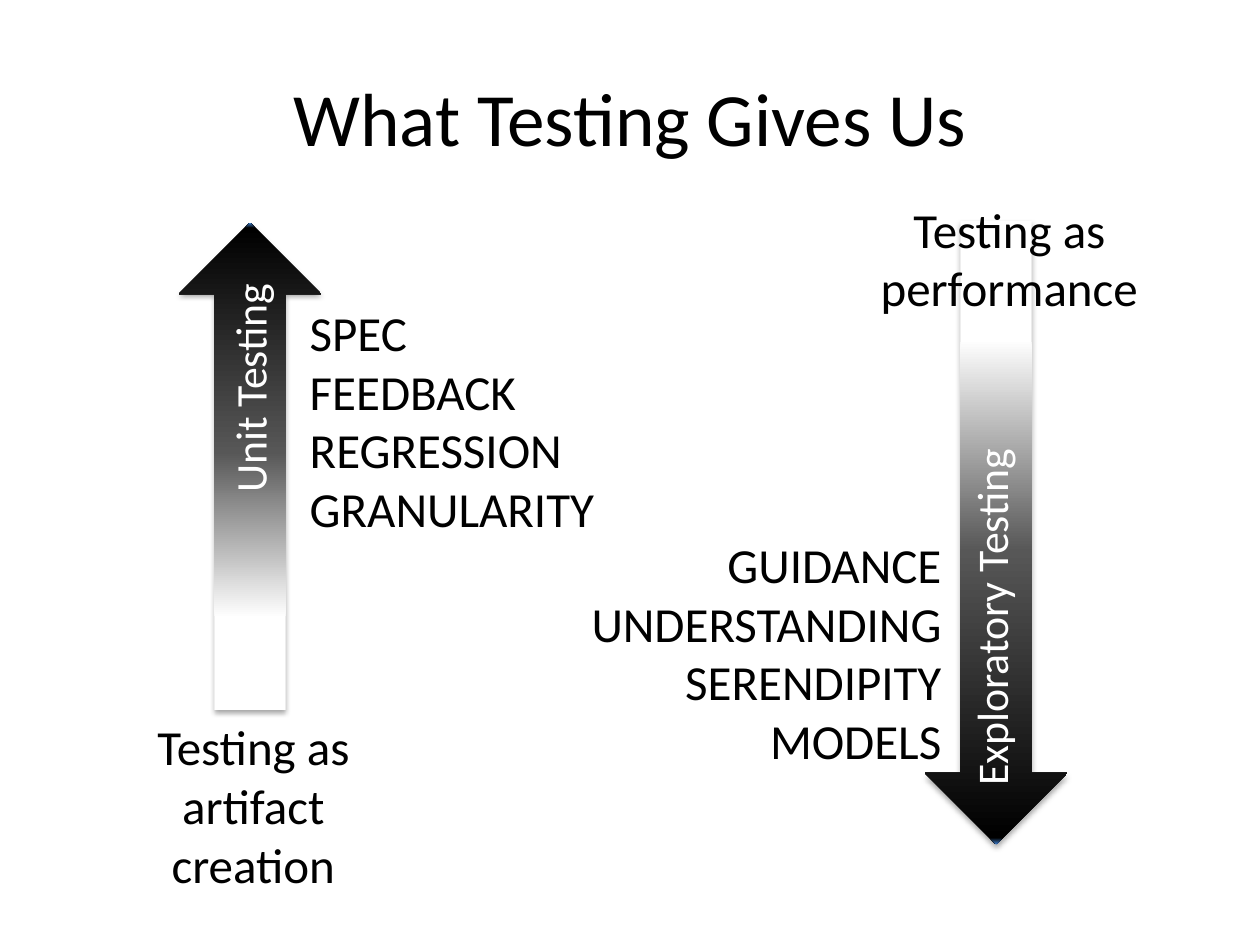
from dataclasses import dataclass
from lxml import etree
from pptx import Presentation
from pptx.dml.color import RGBColor
from pptx.enum import shapes, text
from pptx.oxml import ns
from pptx.util import Pt


@dataclass(frozen=True)
class Theme:
    font: str = "Calibri"
    dark: str = "000000"
    light: str = "FFFFFF"
    fade: tuple = ((19, "FFFFFF"), (53, "575757"), (99, "000000"), (100, "3D7CC7"))
    title: int = 43
    body: int = 28
    label: int = 25


THEME = Theme()
LEFT, MID, RIGHT = text.PP_ALIGN.LEFT, text.PP_ALIGN.CENTER, text.PP_ALIGN.RIGHT


def write(shape, lines, size=THEME.body, color=THEME.dark, align=LEFT,
          anchor=text.MSO_ANCHOR.TOP, wrap=True):
    frame = shape.text_frame
    frame.word_wrap = wrap
    frame.vertical_anchor = anchor
    frame.text = "\n".join(lines)
    for para in frame.paragraphs:
        para.alignment = align
        font = para.runs[0].font
        font.name = THEME.font
        font.size = Pt(size)
        font.color.rgb = RGBColor.from_string(color)


def place(shape, box):
    shape.left, shape.top, shape.width, shape.height = map(Pt, box)


def label(slide, box, lines, turn=0, **form):
    shape = slide.shapes.add_textbox(*map(Pt, box))
    shape.rotation = turn
    write(shape, lines, **form)
    shape.text_frame.auto_size = text.MSO_AUTO_SIZE.SHAPE_TO_FIT_TEXT


def add(node, tag, **attrs):
    return etree.SubElement(node, ns.qn(tag), {k: str(v) for k, v in attrs.items()})


def arrow(slide, box, turn=0):
    shape = slide.shapes.add_shape(shapes.MSO_SHAPE.UP_ARROW, *map(Pt, box))
    shape.rotation = turn
    shape.line.fill.background()
    shape.fill.gradient()
    shape.fill.gradient_angle = 90
    props = shape._element.spPr
    stops = props.find(".//" + ns.qn("a:gsLst"))
    for stop in list(stops):
        stops.remove(stop)
    for spot, color in THEME.fade:
        add(add(stops, "a:gs", pos=spot * 1000), "a:srgbClr", val=color)
    shape.shadow.inherit = False
    shade = add(props.find(ns.qn("a:effectLst")), "a:outerShdw", blurRad=Pt(3.1),
                dist=Pt(1.8), dir=90 * 60000, rotWithShape=0)
    add(add(shade, "a:srgbClr", val=THEME.dark), "a:alpha", val=35000)


def main():
    deck = Presentation()
    deck.slide_width, deck.slide_height = Pt(720), Pt(540)
    slide = deck.slides.add_slide(deck.slide_layouts[5])

    arrow(slide, (102.2, 127.4, 81.4, 278.6))
    arrow(slide, (528.5, 126, 81.4, 356.4), turn=180)

    title = slide.shapes.title
    place(title, (36, 21.6, 648, 90))
    write(title, ["What Testing Gives Us"], size=THEME.title, align=MID,
          anchor=text.MSO_ANCHOR.MIDDLE)
    slide.shapes._spTree.append(title._element)

    side = dict(turn=270, size=THEME.label, color=THEME.light, wrap=False)
    label(slide, (73.4, 200.9, 138.2, 37.4), ["Unit Testing"], **side)
    label(slide, (460.1, 331.2, 212.4, 37.4), ["Exploratory Testing"], **side)

    label(slide, (169.9, 169.2, 179.3, 143.3),
          ["SPEC", "FEEDBACK", "REGRESSION", "GRANULARITY"], wrap=False)
    label(slide, (249.8, 301.7, 295.2, 143.3),
          ["GUIDANCE", "UNDERSTANDING", "SERENDIPITY", "MODELS"], align=RIGHT)
    label(slide, (59.8, 406.1, 169.9, 108.7), ["Testing as artifact creation"], align=MID)
    label(slide, (478.1, 110.2, 197.3, 74.9), ["Testing as performance"], align=MID)

    deck.save("out.pptx")


main()
